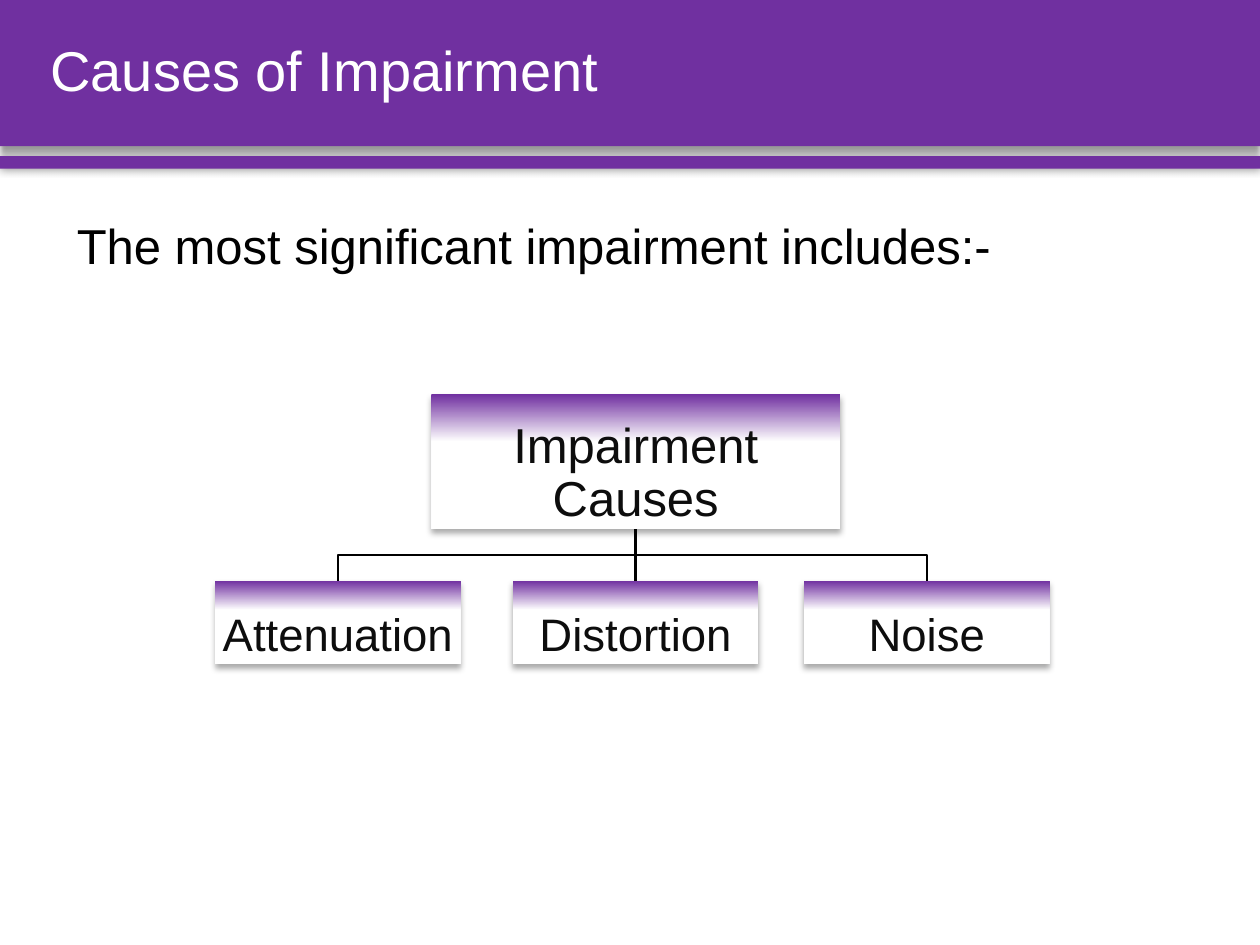
from dataclasses import dataclass

from lxml import etree
from pptx import Presentation
from pptx.dml.color import RGBColor
from pptx.enum.shapes import MSO_CONNECTOR, MSO_SHAPE
from pptx.enum.text import MSO_ANCHOR, MSO_AUTO_SIZE, PP_ALIGN
from pptx.oxml.ns import qn
from pptx.util import Cm, Pt

RECT = MSO_SHAPE.RECTANGLE
STRAIGHT = MSO_CONNECTOR.STRAIGHT
LEFT, MID, JUST = PP_ALIGN.LEFT, PP_ALIGN.CENTER, PP_ALIGN.JUSTIFY


@dataclass(frozen=True)
class Theme:
    font: str = "Arial"
    main: RGBColor = RGBColor(0x70, 0x30, 0xA0)
    white: RGBColor = RGBColor(0xFF, 0xFF, 0xFF)
    black: RGBColor = RGBColor(0, 0, 0)
    ink: RGBColor = RGBColor(0x0D, 0x0D, 0x0D)
    title: int = 32
    lead: int = 28
    leaf: int = 26
    line: float = 1.5


THEME = Theme()


def write(frame, text, size, color, align, space=1.0):
    frame.word_wrap = True
    para = frame.paragraphs[0]
    para.alignment = align
    para.line_spacing = space
    run = para.add_run()
    run.text = text
    run.font.name = THEME.font
    run.font.size = Pt(size)
    run.font.color.rgb = color


def shade(shape, alpha, blur, dist):
    """Give the shape a black shadow that falls straight down."""
    shape.shadow.inherit = False
    effects = shape.element.spPr.find(qn("a:effectLst"))
    outer = etree.SubElement(
        effects, qn("a:outerShdw"), blurRad=str(Pt(blur)),
        dist=str(Pt(dist)), dir="5400000", algn="ctr", rotWithShape="0")
    color = etree.SubElement(outer, qn("a:srgbClr"), val=str(THEME.black))
    etree.SubElement(color, qn("a:alpha"), val=str(alpha * 1000))


def block(slide, left, top, width, height, shadow):
    shape = slide.shapes.add_shape(
        RECT, Cm(left), Cm(top), Cm(width), Cm(height))
    shape.line.fill.background()
    shade(shape, *shadow)
    return shape


def header(slide, left, top, width, height):
    bars = [(0, 2.95, (40, 4, 3)), (3.15, height - 3.15, (40, 5, 0))]
    for drop, tall, shadow in bars:
        bar = block(slide, left, top + drop, width, tall, shadow)
        bar.fill.solid()
        bar.fill.fore_color.rgb = THEME.main

    title = slide.shapes.title
    title.element.getparent().append(title.element)  # in front of the bars
    title.left, title.top = Cm(left + 0.76), Cm(top)
    title.width, title.height = Cm(width - 1.37), Cm(2.95)
    frame = title.text_frame
    frame.auto_size = MSO_AUTO_SIZE.NONE
    frame.vertical_anchor = MSO_ANCHOR.MIDDLE
    write(frame, "Causes of Impairment", THEME.title, THEME.white, LEFT, 0.9)


def lead(slide, left, top, width, height):
    box = slide.shapes.add_textbox(Cm(left), Cm(top), Cm(width), Cm(height))
    write(box.text_frame, "The most significant impairment includes:-",
          THEME.lead, THEME.black, JUST)


def node(slide, left, top, width, height, text, size):
    shape = block(slide, left, top, width, height, (32, 3.5, 2.2))
    shape.fill.gradient()
    shape.fill.gradient_angle = 270
    first, last = shape.fill.gradient_stops
    first.color.rgb, first.position = THEME.main, 0
    last.color.rgb, last.position = THEME.white, 0.35
    frame = shape.text_frame
    frame.margin_left = frame.margin_right = Cm(0.05)
    frame.margin_top = frame.margin_bottom = Cm(0.05)
    frame.vertical_anchor = MSO_ANCHOR.BOTTOM
    write(frame, text, size, THEME.ink, MID, 0.9)


def branch(slide, start, end):
    """Join two points, with a bend halfway down if they are not in line."""
    (x1, y1), (x2, y2) = start, end
    if x1 == x2:
        line = slide.shapes.add_connector(
            STRAIGHT, Cm(x1), Cm(y1), Cm(x2), Cm(y2))
        etree.SubElement(line.element.spPr, qn("a:effectLst"))
    else:
        half = (y1 + y2) / 2
        pen = slide.shapes.build_freeform(Cm(x1), Cm(y1))
        turns = [(x1, half), (x2, half), (x2, y2)]
        pen.add_line_segments([(Cm(x), Cm(y)) for x, y in turns], close=False)
        line = pen.convert_to_shape()
        line.fill.background()
        line.shadow.inherit = False
    line.line.color.rgb = THEME.black
    line.line.width = Pt(THEME.line)


def tree(slide, left, top, width, height):
    root_w, root_h = 8.24, 2.72
    leaf_w, leaf_h = 4.95, 1.68
    leaves = [("Attenuation", 0), ("Distortion", 6),
              ("Noise", width - leaf_w)]
    row = top + height - leaf_h
    stem = left + leaves[1][1] + leaf_w / 2

    for _, shift in leaves:
        branch(slide, (stem, top + root_h), (left + shift + leaf_w / 2, row))
    node(slide, stem - root_w / 2, top, root_w, root_h,
         "Impairment Causes", THEME.lead)
    for text, shift in leaves:
        node(slide, left + shift, row, leaf_w, leaf_h, text, THEME.leaf)


def main():
    deck = Presentation()
    deck.slide_width, deck.slide_height = Cm(25.4), Cm(19.05)
    slide = deck.slides.add_slide(deck.slide_layouts.get_by_name("Title Only"))
    header(slide, 0, 0, 25.4, 3.4)
    lead(slide, 1.3, 4.22, 22.94, 1.45)
    tree(slide, 4.34, 7.95, 16.82, 5.44)
    deck.save("out.pptx")


if __name__ == "__main__":
    main()
